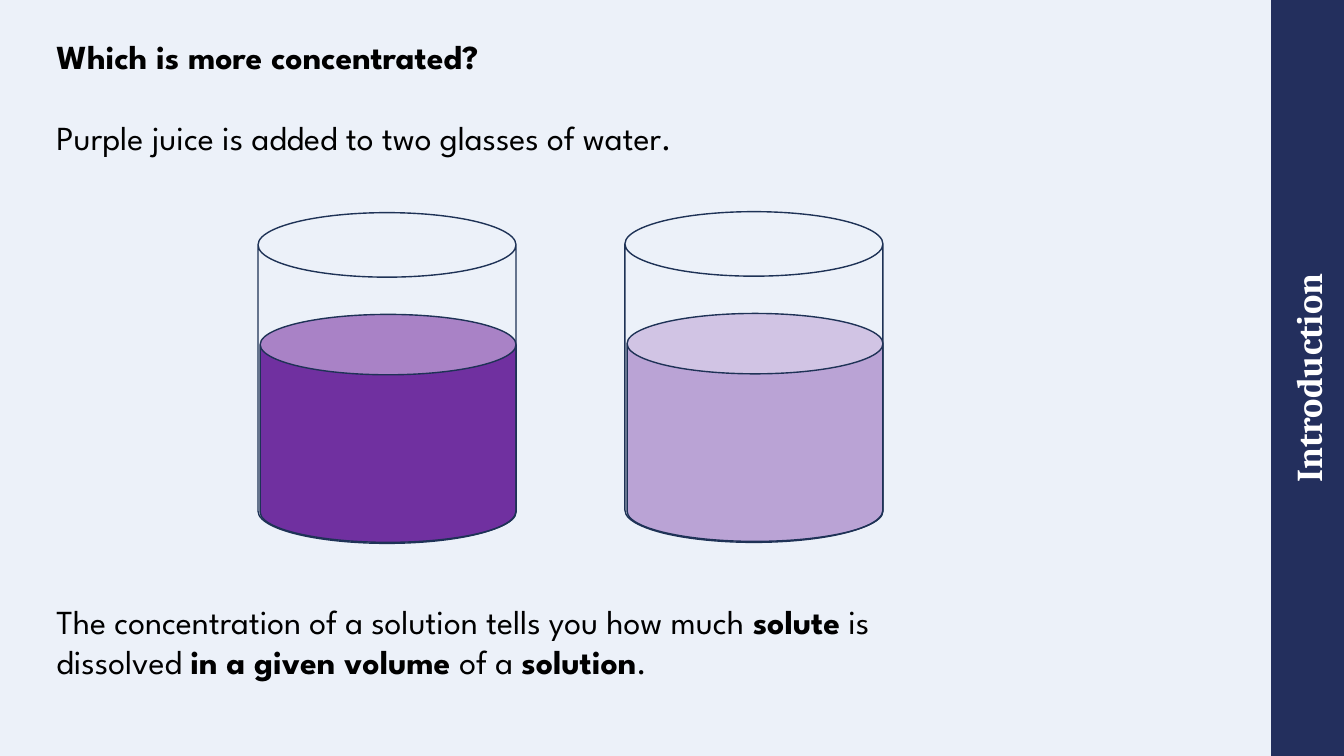
import pptx
import pptx.dml.color
import pptx.enum.shapes
import pptx.enum.text
import pptx.oxml.ns
import pptx.util
from lxml import etree

Pt = pptx.util.Pt
RGBColor = pptx.dml.color.RGBColor
MSO_SHAPE = pptx.enum.shapes.MSO_SHAPE
PP_ALIGN = pptx.enum.text.PP_ALIGN
MSO_ANCHOR = pptx.enum.text.MSO_ANCHOR
qn = pptx.oxml.ns.qn

PALE_BLUE = RGBColor(0xEC, 0xF1, 0xF9)
NAVY = RGBColor(0x23, 0x2F, 0x5D)
OUTLINE = RGBColor(0x1E, 0x32, 0x56)
PURPLE = RGBColor(0x70, 0x30, 0xA0)
BLACK = RGBColor(0, 0, 0)
WHITE = RGBColor(0xFF, 0xFF, 0xFF)

BODY_FONT = {"name": "League Spartan", "size": Pt(24), "bold": False}
SIDEBAR_FONT = {"name": "Cambria", "size": Pt(26), "bold": True}
LINE_PITCH = 28.8
WIDTH, HEIGHT = 960, 540


def format_font(font, values, color):
    for name, value in values.items():
        setattr(font, name, value)
    font.color.rgb = color


def place(sp, x, y, w, h):
    sp.left, sp.top, sp.width, sp.height = Pt(x), Pt(y), Pt(w), Pt(h)


def fill_text(sp, box, runs):
    """Write (text, bold) runs as one plain paragraph in a placeholder."""
    place(sp, *box)
    tf = sp.text_frame
    tf.word_wrap = True
    tf.auto_size = pptx.enum.text.MSO_AUTO_SIZE.NONE
    tf.vertical_anchor = MSO_ANCHOR.TOP
    p = tf.paragraphs[0]
    pPr = p._p.get_or_add_pPr()
    pPr.set("marL", "0")
    pPr.set("indent", "0")
    etree.SubElement(pPr, qn("a:buNone"))
    p.alignment = PP_ALIGN.LEFT
    p.space_before = Pt(0)
    for text, bold in runs:
        r = p.add_run()
        r.text = text
        format_font(r.font, {**BODY_FONT, "bold": bold}, BLACK)


def add_explanation(s, x, y, w):
    """Question, lead sentence and definition on a common line grid."""
    title, lead, definition = s.placeholders
    fill_text(title, (x, y, w, 36), [("Which is more concentrated?", True)])
    fill_text(lead, (x, y + 2 * LINE_PITCH, w, 36),
              [("Purple juice is added to two glasses of water.", False)])
    fill_text(definition, (x, y + 14 * LINE_PITCH, w, 66), [
        ("The concentration of a solution tells you how much ", False),
        ("solute", True),
        (" is dissolved ", False),
        ("in a given volume ", True),
        ("of a ", False),
        ("solution", True),
        (".", False),
    ])


def add_can(s, x, y, w, h, rim):
    sp = s.shapes.add_shape(MSO_SHAPE.CAN, Pt(x), Pt(y), Pt(w), Pt(h))
    sp.adjustments[0] = rim
    sp.shadow.inherit = False
    sp.line.color.rgb = OUTLINE
    sp.line.width = Pt(1)
    return sp


def add_glass(s, x, y, w, h, opacity):
    """A clear glass with juice in its lower part."""
    juice_top = 72.7
    juice = add_can(s, x + 1.5, y + juice_top, w - 1.5, h - juice_top - 0.7, 0.265)
    juice.fill.solid()
    juice.fill.fore_color.rgb = PURPLE
    if opacity < 100:
        color = juice.fill._xPr.find(qn("a:solidFill"))[0]
        etree.SubElement(color, qn("a:alpha")).set("val", str(opacity * 1000))
    glass = add_can(s, x, y, w, h, 0.25)
    glass.fill.background()


def add_sidebar(s, x, y, w, h):
    """Section bar, drawn lying down and turned upright."""
    sp = s.shapes.add_shape(MSO_SHAPE.RECTANGLE, 0, 0, 0, 0)
    place(sp, x + (w - h) / 2, y + (h - w) / 2, h, w)
    sp.rotation = 270
    sp.shadow.inherit = False
    sp.fill.solid()
    sp.fill.fore_color.rgb = NAVY
    sp.line.fill.background()
    tf = sp.text_frame
    for side in ("left", "top", "right", "bottom"):
        setattr(tf, f"margin_{side}", 0)
    tf.vertical_anchor = MSO_ANCHOR.MIDDLE
    p = tf.paragraphs[0]
    p.alignment = PP_ALIGN.CENTER
    r = p.add_run()
    r.text = "Introduction"
    format_font(r.font, SIDEBAR_FONT, WHITE)


def main():
    prs = pptx.Presentation()
    prs.slide_width, prs.slide_height = Pt(WIDTH), Pt(HEIGHT)
    s = prs.slides.add_slide(prs.slide_layouts.get_by_name("Two Content"))
    s.background.fill.solid()
    s.background.fill.fore_color.rgb = PALE_BLUE

    add_explanation(s, 33.1, 22.3, 680.4)
    # Strong juice on the left, weak juice on the right
    for x, y, opacity in ((184.3, 151.9, 100), (446.4, 151.2, 40)):
        add_glass(s, x, y, 184.3, 236.2, opacity)
    add_sidebar(s, WIDTH - 52, 0, 52, HEIGHT)

    prs.save("out.pptx")


if __name__ == "__main__":
    main()
